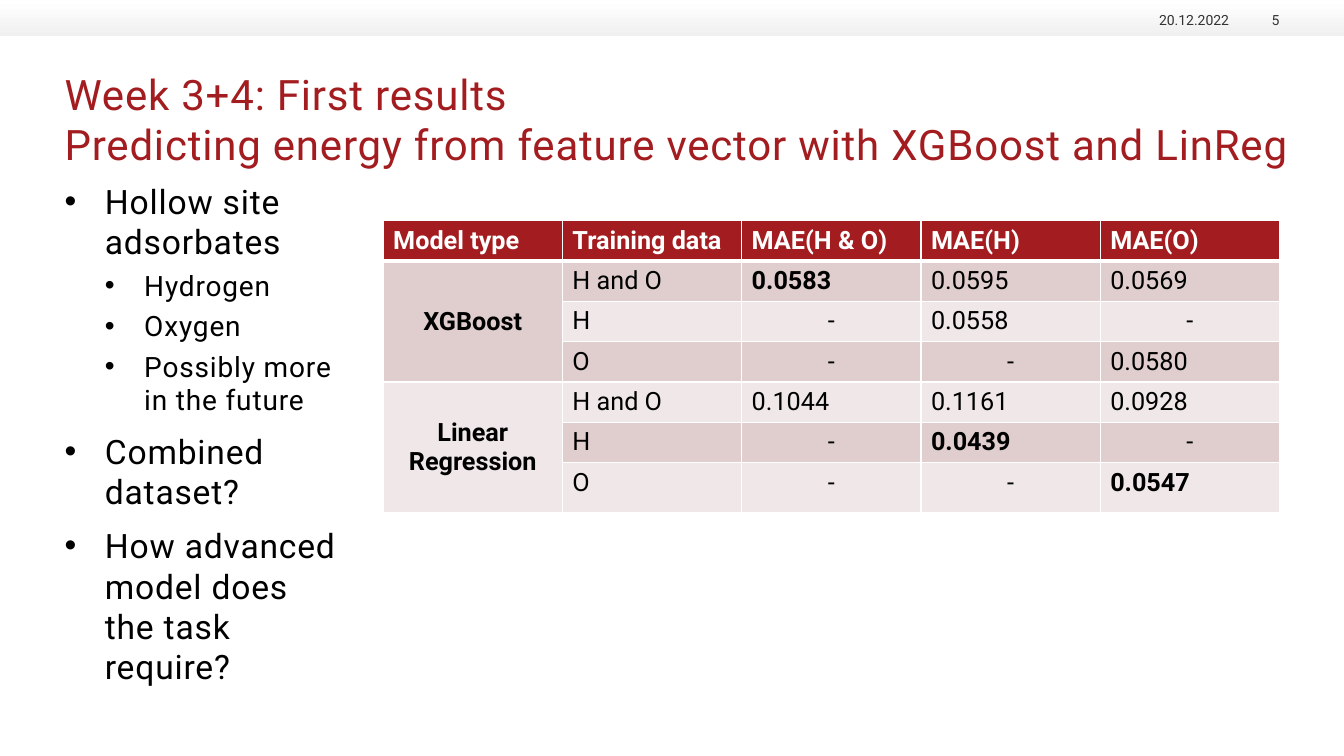
from lxml import etree
from pptx import Presentation
from pptx.dml.color import RGBColor
from pptx.enum import shapes, text
from pptx.oxml import ns
from pptx.util import Pt

RED = RGBColor(0xA3, 0x1D, 0x20)
ROSE = RGBColor(0xE0, 0xCD, 0xCD)
PALE = RGBColor(0xF0, 0xE8, 0xE8)
GREY = RGBColor(0x33, 0x33, 0x33)
MIST = RGBColor(0xEF, 0xF0, 0xEF)
WHITE = RGBColor(0xFF, 0xFF, 0xFF)
BLACK = RGBColor(0x00, 0x00, 0x00)

SCALE = 9144  # EMU per px, 100 px to the inch
LEFT, MID, RIGHT = text.PP_ALIGN.LEFT, text.PP_ALIGN.CENTER, text.PP_ALIGN.RIGHT

TITLE = ("Week 3+4: First results\v"
         "Predicting energy from feature vector with XGBoost and LinReg")
POINTS = [
    (0, "Hollow site adsorbates"),
    (1, "Hydrogen"),
    (1, "Oxygen"),
    (1, "Possibly more in the future"),
    (0, "Combined dataset?"),
    (0, "How advanced model does the task require?"),
]
HEAD = ["Model type", "Training data", "MAE(H & O)", "MAE(H)", "MAE(O)"]
SCORES = [
    ["XGBoost", "H and O", "0.0583", "0.0595", "0.0569"],
    ["", "H", "-", "0.0558", "-"],
    ["", "O", "-", "-", "0.0580"],
    ["Linear Regression", "H and O", "0.1044", "0.1161", "0.0928"],
    ["", "H", "-", "0.0439", "-"],
    ["", "O", "-", "-", "0.0547"],
]
BEST = {"0.0583", "0.0439", "0.0547"}
GROUP = 3  # rows per model


def px(n):
    return int(n * SCALE)


def write(par, words, size=18, color=BLACK, bold=False, align=LEFT, track=0):
    par.text = words
    par.alignment = align
    for run in par.runs:
        font = run.font
        font.name, font.size, font.bold = "Roboto", Pt(size), bold
        font.color.rgb = color
        if track:
            run._r.get_or_add_rPr().set("spc", str(track))


def bullet(par, left, hang):
    props = par._p.get_or_add_pPr()
    props.set("marL", str(px(left)))
    props.set("indent", str(-px(hang)))
    etree.SubElement(props, ns.qn("a:buChar")).set("char", "•")


def edge(cell, **widths):
    """Draw white borders; keys are sides L, R, T, B, in points."""
    props = cell._tc.get_or_add_tcPr()
    for side in "LRTB":
        line = etree.SubElement(props, ns.qn("a:ln" + side))
        line.set("w", str(Pt(widths.get(side, 1))))
        fill = etree.SubElement(line, ns.qn("a:solidFill"))
        etree.SubElement(fill, ns.qn("a:srgbClr")).set("val", str(WHITE))


class Deck:
    def __init__(self):
        self.show = Presentation()
        self.show.slide_width, self.show.slide_height = px(1333), px(750)
        self.slide = self.show.slides.add_slide(self.show.slide_layouts[1])

    def frame(self, shape, box, anchor=text.MSO_ANCHOR.TOP):
        """Place a text shape and clear its margins."""
        shape.left, shape.top, shape.width, shape.height = map(px, box)
        frame = shape.text_frame
        frame.word_wrap = True
        frame.auto_size = text.MSO_AUTO_SIZE.NONE
        frame.vertical_anchor = anchor
        frame.margin_left = frame.margin_right = 0
        frame.margin_top = frame.margin_bottom = 0
        return frame

    def band(self, *box):
        bar = self.slide.shapes.add_shape(
            shapes.MSO_SHAPE.RECTANGLE, *map(px, box))
        bar.shadow.inherit = False
        bar.line.fill.background()
        bar.fill.gradient()
        bar.fill.gradient_angle = 270
        for stop, color in zip(bar.fill.gradient_stops, (WHITE, MIST)):
            stop.color.rgb = color

    def title(self, words, *box):
        frame = self.frame(self.slide.shapes.title, box)
        write(frame.paragraphs[0], words, size=30, color=RED, track=60)

    def label(self, words, *box):
        shape = self.slide.shapes.add_textbox(*map(px, box))
        frame = self.frame(shape, box, text.MSO_ANCHOR.BOTTOM)
        write(frame.paragraphs[0], words, size=10, color=GREY, align=RIGHT)

    def points(self, items, *box):
        frame = self.frame(self.slide.placeholders[1], box)
        for i, (level, words) in enumerate(items):
            par = frame.add_paragraph() if i else frame.paragraphs[0]
            par.level = level
            par.space_before = Pt((5 if level else 10) if i else 0)
            bullet(par, *((79, 39) if level else (40, 40)))
            write(par, words, size=20 if level else 24, track=60)

    def table(self, head, body, *box):
        rows = [head] + body
        grid = self.slide.shapes.add_table(
            len(rows), len(head), *map(px, box)).table
        for col in grid.columns:
            col.width = px(box[2] / len(head))
        for row in grid.rows:
            row.height = px(40)
        grid.rows[len(body)].height = px(50)
        for top in range(1, len(rows), GROUP):
            grid.cell(top, 0).merge(grid.cell(top + GROUP - 1, 0))
        for r, row in enumerate(rows):
            for c, words in enumerate(row):
                self.cell(grid.cell(r, c), words, r, c)

    def cell(self, cell, words, r, c):
        edge(cell, T=3 if r == 1 else 1, B=1 if r else 3)
        cell.fill.solid()
        cell.fill.fore_color.rgb = (ROSE if r % 2 else PALE) if r else RED
        model = r > 0 and c == 0
        if model:
            cell.vertical_anchor = text.MSO_ANCHOR.MIDDLE
        write(cell.text_frame.paragraphs[0], words,
              color=BLACK if r else WHITE,
              bold=r == 0 or model or words in BEST,
              align=MID if model or words == "-" else LEFT)


def main():
    deck = Deck()
    deck.band(0, 0, 1333, 36)
    deck.title(TITLE, 64, 68, 1236, 95)
    deck.label("20.12.2022", 1130, 9, 89, 19)
    deck.label("5", 1227, 9, 42, 19)
    deck.table(HEAD, SCORES, 380, 219, 889, 290)
    deck.points(POINTS, 64, 179, 276, 541)
    deck.show.save("out.pptx")


if __name__ == "__main__":
    main()
